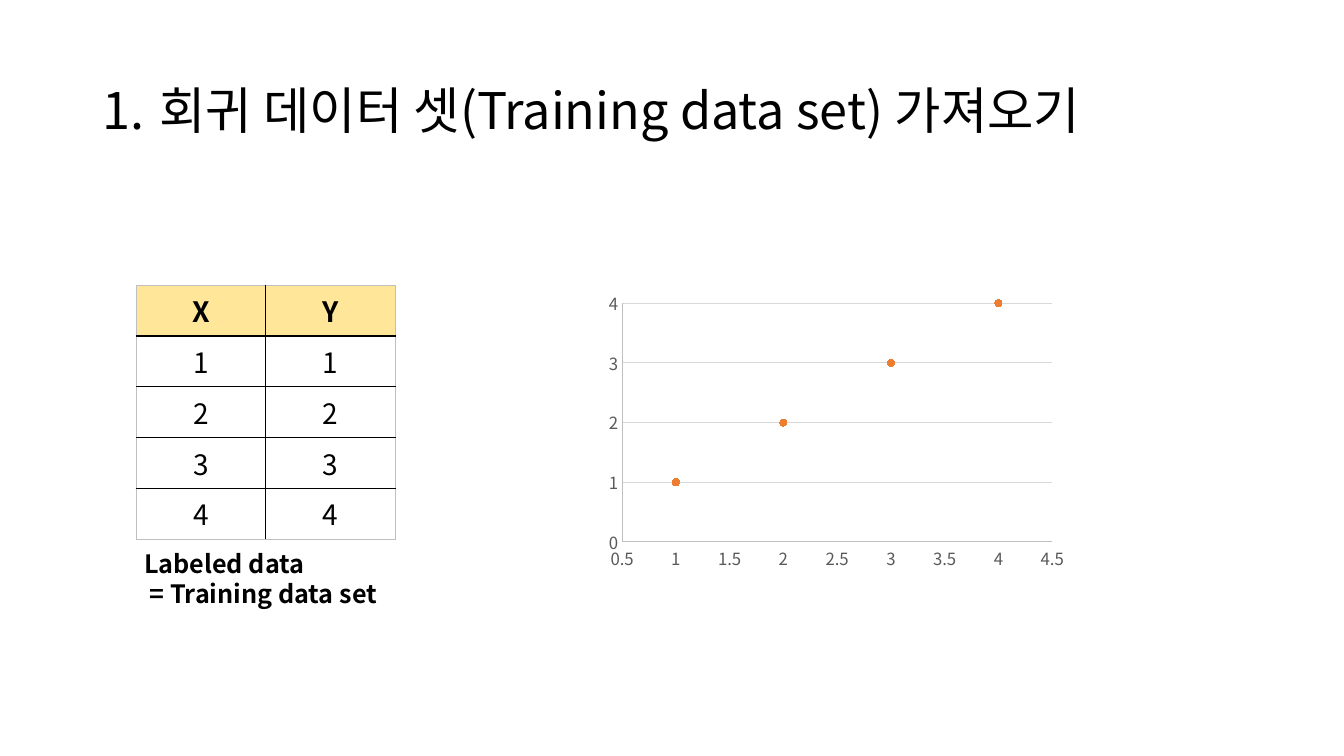
from dataclasses import dataclass

from lxml import etree
from pptx import Presentation
from pptx.chart.data import XyChartData
from pptx.dml.color import RGBColor
from pptx.enum.chart import XL_CHART_TYPE, XL_MARKER_STYLE, XL_TICK_MARK
from pptx.enum.text import MSO_ANCHOR, MSO_AUTO_SIZE, PP_ALIGN
from pptx.oxml.ns import qn
from pptx.util import Cm, Pt

SCATTER = XL_CHART_TYPE.XY_SCATTER
CIRCLE = XL_MARKER_STYLE.CIRCLE
NO_TICK = XL_TICK_MARK.NONE
MIDDLE = MSO_ANCHOR.MIDDLE
NO_AUTOFIT = MSO_AUTO_SIZE.NONE
LEFT, CENTER = PP_ALIGN.LEFT, PP_ALIGN.CENTER
TITLE_ONLY_LAYOUT = 5


@dataclass(frozen=True)
class Theme:
    font: str = "Noto Sans CJK KR"
    ink: str = "000000"
    paper: str = "FFFFFF"
    header: str = "FFE699"
    edge: str = "BFBFBF"
    grid: str = "D9D9D9"
    axis_text: str = "595959"
    accent: str = "ED7D31"
    title_size: int = 36
    table_size: int = 20
    caption_size: int = 18
    axis_size: int = 12
    chart_size: int = 10
    caption_leading: float = 21.6
    axis_width: float = 0.75


THEME = Theme()
POINTS = [(1, 1), (2, 2), (3, 3), (4, 4)]


def rgb(color):
    return RGBColor.from_string(color)


def add_run(paragraph, text, size, bold=False):
    run = paragraph.add_run()
    run.text = text
    font = run.font
    font.name = THEME.font
    font.size = Pt(size)
    font.bold = bold
    font.color.rgb = rgb(THEME.ink)
    east_asian = etree.SubElement(run._r.get_or_add_rPr(), qn("a:ea"))
    east_asian.set("typeface", THEME.font)


def place_title(slide, box, text):
    title = slide.shapes.title
    title.left, title.top, title.width, title.height = box
    frame = title.text_frame
    frame.vertical_anchor = MIDDLE
    frame.word_wrap = True
    frame.auto_size = NO_AUTOFIT
    paragraph = frame.paragraphs[0]
    paragraph.alignment = LEFT
    paragraph.line_spacing = 0.9
    properties = paragraph._p.get_or_add_pPr()
    indent = Cm(1.43)
    properties.set("marL", str(indent))
    properties.set("indent", str(-indent))
    numbering = etree.SubElement(properties, qn("a:buAutoNum"))
    numbering.set("type", "arabicPeriod")
    add_run(paragraph, text, THEME.title_size)


def set_cell_border(cell, side, color):
    properties = cell._tc.get_or_add_tcPr()
    line = etree.SubElement(properties, qn(f"a:{side}"), w=str(Pt(1)))
    fill = etree.SubElement(line, qn("a:solidFill"))
    etree.SubElement(fill, qn("a:srgbClr"), val=color)


def place_table(slide, box, rows):
    row_count, column_count = len(rows), len(rows[0])
    table = slide.shapes.add_table(row_count, column_count, *box).table
    table.horz_banding = False
    for row_index, values in enumerate(rows):
        is_header = row_index == 0
        for column_index, value in enumerate(values):
            cell = table.cell(row_index, column_index)
            outer_sides = {
                "lnL": column_index == 0,
                "lnR": column_index == column_count - 1,
                "lnT": is_header,
                "lnB": row_index == row_count - 1,
            }
            for side, is_outer in outer_sides.items():
                set_cell_border(cell, side, THEME.edge if is_outer else THEME.ink)
            if is_header:
                cell.fill.solid()
                cell.fill.fore_color.rgb = rgb(THEME.header)
            else:
                cell.fill.background()
            paragraph = cell.text_frame.paragraphs[0]
            paragraph.alignment = CENTER
            add_run(paragraph, str(value), THEME.table_size, bold=is_header)


def place_caption(slide, box, lines):
    frame = slide.shapes.add_textbox(*box).text_frame
    frame.word_wrap = False
    for index, line in enumerate(lines):
        paragraph = frame.add_paragraph() if index else frame.paragraphs[0]
        paragraph.line_spacing = Pt(THEME.caption_leading)
        add_run(paragraph, line, THEME.caption_size, bold=True)


def style_line(line, color):
    line.color.rgb = rgb(color)
    line.width = Pt(THEME.axis_width)


def style_axis(axis, low, high, step, grid_color):
    axis.minimum_scale, axis.maximum_scale, axis.major_unit = low, high, step
    axis.major_tick_mark = axis.minor_tick_mark = NO_TICK
    axis.has_major_gridlines = True
    style_line(axis.major_gridlines.format.line, grid_color)
    style_line(axis.format.line, THEME.edge)
    labels = axis.tick_labels
    labels.number_format = "General"
    labels.number_format_is_linked = False
    labels.font.name = THEME.font
    labels.font.size = Pt(THEME.axis_size)
    labels.font.color.rgb = rgb(THEME.axis_text)


def set_plot_layout(chart, x, y, w, h):
    plot_area = chart._chartSpace.find(f".//{qn('c:plotArea')}")
    layout = plot_area.find(qn("c:layout"))
    if layout is None:
        layout = etree.Element(qn("c:layout"))
        plot_area.insert(0, layout)
    manual = etree.SubElement(layout, qn("c:manualLayout"))
    settings = {"layoutTarget": "inner", "xMode": "edge", "yMode": "edge",
                "x": x, "y": y, "w": w, "h": h}
    for name, value in settings.items():
        etree.SubElement(manual, qn(f"c:{name}"), val=str(value))


def place_chart(slide, box, points):
    data = XyChartData()
    series_data = data.add_series("Series 1")
    for x, y in points:
        series_data.add_data_point(x, y)
    chart = slide.shapes.add_chart(SCATTER, *box, data).chart
    chart.has_legend = False
    chart.has_title = False
    chart.font.name = THEME.font
    chart.font.size = Pt(THEME.chart_size)
    chart.font.color.rgb = rgb(THEME.ink)
    style_axis(chart.category_axis, 0.5, 4.5, 0.5, THEME.paper)
    style_axis(chart.value_axis, 0, 4, 1, THEME.grid)
    set_plot_layout(chart, 0.12, 0.17, 0.85, 0.72)
    plot = chart.plots[0]
    plot.vary_by_categories = False
    series = plot.series[0]
    series.smooth = False
    series.format.line.fill.background()
    marker = series.marker
    marker.style = CIRCLE
    marker.size = 5
    marker.format.fill.solid()
    marker.format.fill.fore_color.rgb = rgb(THEME.accent)
    marker.format.line.color.rgb = rgb(THEME.accent)


def build_data_slide(presentation):
    slide = presentation.slides.add_slide(presentation.slide_layouts[TITLE_ONLY_LAYOUT])
    place_title(slide, (Cm(2.33), Cm(1.01), Cm(29.21), Cm(3.68)),
                "회귀 데이터 셋(Training data set) 가져오기")
    place_table(slide, (Cm(3.43), Cm(7.19), Cm(6.54), Cm(5.8)), [("X", "Y"), *POINTS])
    place_caption(slide, (Cm(3.38), Cm(13.69), Cm(6.58), Cm(1.8)),
                  ["Labeled data", " = Training data set"])
    place_chart(slide, (Cm(14.15), Cm(6.22), Cm(12.75), Cm(8.36)), POINTS)


def main():
    presentation = Presentation()
    presentation.slide_width = Cm(33.87)
    presentation.slide_height = Cm(19.05)
    build_data_slide(presentation)
    presentation.save("out.pptx")


if __name__ == "__main__":
    main()
